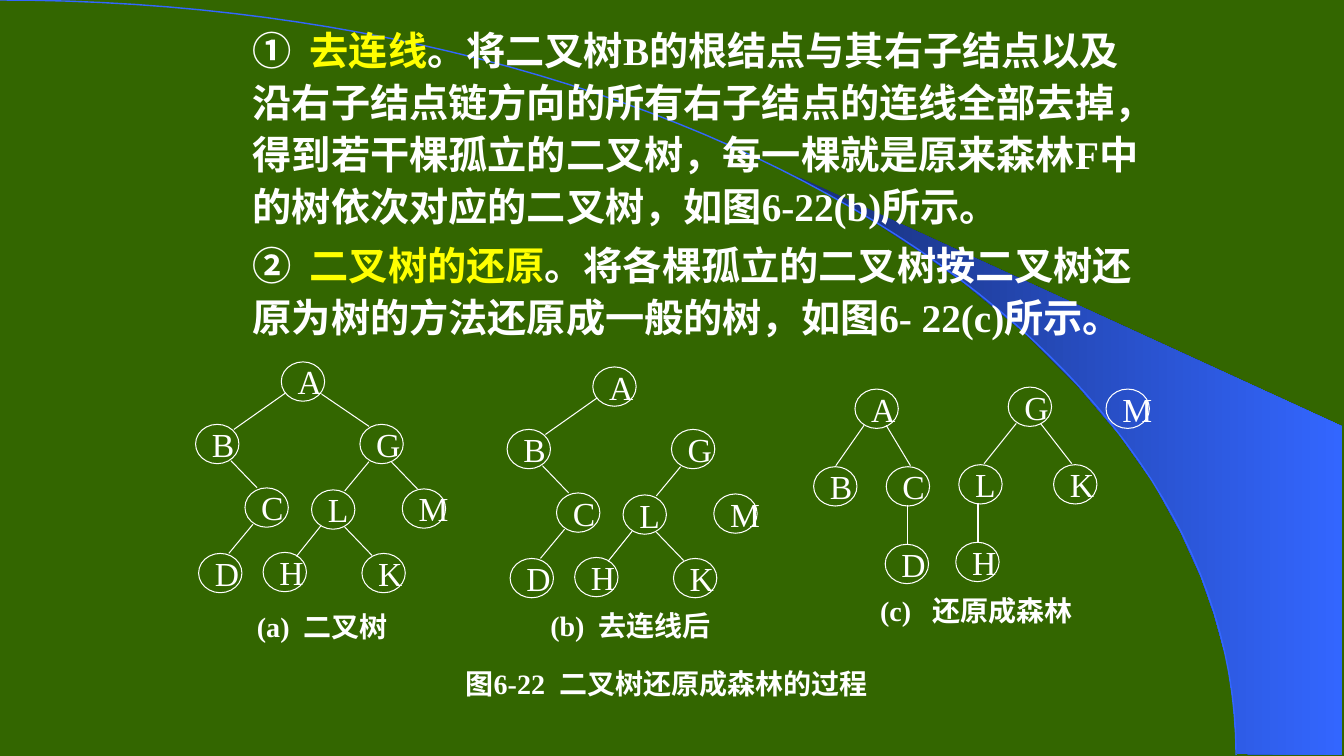
from pptx import Presentation
from pptx import util as u
from pptx.dml.color import RGBColor
from pptx.enum import shapes, text
from pptx.oxml.ns import qn
from lxml import etree

THEME = {
    "bg": "336600", "white": "FFFFFF", "yellow": "FFFF00",
    "blue": "3366FF", "navy": "182F76",
    "latin": "Times New Roman", "cjk": "Noto Sans CJK SC",
    "body": 28, "node": 24, "caption": 20, "edge": 0.75, "arc": 1,
}

STEPS = [
    [("①  ", "white", "latin"), ("去连线", "yellow", "latin"),
     ("。将二叉树B的根结点与其右子结点以及沿右子结点链方向的所有右子结点的连线全部去掉，"
      "得到若干棵孤立的二叉树，每一棵就是原来森林F中的树依次对应的二叉树，", "white", "latin"),
     ("如图", "white", "cjk"), ("6-22(b)所示", "white", "latin"), ("。", "white", "cjk")],
    [("②  ", "white", "latin"), ("二叉树的还原", "yellow", "latin"),
     ("。将各棵孤立的二叉树按二叉树还原为树的方法还原成一般的树，", "white", "latin"),
     ("如图", "white", "cjk"), ("6- 22(c)所示", "white", "latin"), ("。", "white", "cjk")],
]

CAPTIONS = [
    ("(a)  二叉树", 2.45, 6.02, 1.6),
    ("(b)  去连线后", 5.36, 6.01, 1.9),
    ("(c)   还原成森林", 8.63, 5.86, 2.2),
    ("图6-22  二叉树还原成森林的过程", 4.52, 6.58, 4.4),
]

BINARY_NODES = {
    "A": (2.79, 3.59), "B": (1.94, 4.21), "C": (2.43, 4.84), "D": (1.97, 5.49),
    "G": (3.57, 4.21), "L": (3.09, 4.86), "H": (2.61, 5.48), "K": (3.59, 5.49),
    "M": (3.99, 4.85),
}
BINARY_EDGES = {
    "AB": (2.83, 3.9, 2.32, 4.26), "BC": (2.29, 4.57, 2.55, 4.84),
    "CD": (2.51, 5.2, 2.27, 5.49), "AG": (3.19, 3.91, 3.66, 4.23),
    "GM": (3.88, 4.58, 4.14, 4.85), "GL": (3.66, 4.58, 3.42, 4.87),
    "LK": (3.42, 5.23, 3.69, 5.51), "LH": (3.18, 5.22, 2.94, 5.52),
}
FOREST_NODES = {
    "A": (8.48, 3.86), "B": (8.07, 4.63), "C": (8.79, 4.63), "D": (8.78, 5.4),
    "G": (10, 3.84), "L": (9.51, 4.61), "H": (9.48, 5.38), "K": (10.45, 4.61),
    "M": (10.97, 3.86),
}
FOREST_EDGES = {
    "AB": (8.57, 4.22, 8.29, 4.62), "AC": (8.79, 4.22, 9.03, 4.62),
    "CD": (9, 5.01, 9, 5.41), "GL": (10.08, 4.2, 9.76, 4.6),
    "GK": (10.32, 4.2, 10.63, 4.6), "LH": (9.7, 4.99, 9.7, 5.39),
}
CUT_EDGES = {"AG", "GM"}
CUT_SHIFT = (3.09, 0.05)
CUT_NODES = {n: (x + CUT_SHIFT[0], y + CUT_SHIFT[1]) for n, (x, y) in BINARY_NODES.items()}
KEPT_EDGES = {n: tuple(v + CUT_SHIFT[i % 2] for i, v in enumerate(e))
              for n, e in BINARY_EDGES.items() if n not in CUT_EDGES}
TREES = [(BINARY_NODES, BINARY_EDGES), (CUT_NODES, KEPT_EDGES), (FOREST_NODES, FOREST_EDGES)]
NODE_SIZE = (0.43, 0.39)

SWOOSH = [
    (12.27, 7.48), (13.31, 7.49), (13.31, 4.23), (7.86, 1.73), (8.32, 1.99),
    (8.7, 2.22), (9.13, 2.5), (9.55, 2.8), (10.16, 3.3), (10.7, 3.84),
    (11.1, 4.31), (11.44, 4.79), (11.71, 5.28), (11.91, 5.72), (12.04, 6.09),
    (12.17, 6.56), (12.23, 6.96),
]
ARC = [(0, 0), (6.77, 0), (12.26, 3.35), (12.26, 7.49)]
ARC_STEPS = 60


def color(name):
    return RGBColor.from_string(THEME[name])


def style(font, size, bold=False):
    font.name = THEME["latin"]
    font.size = u.Pt(THEME[size])
    font.bold = bold
    font.color.rgb = color("white")


def outline(s, points, close):
    start, *rest = [(u.Inches(x), u.Inches(y)) for x, y in points]
    builder = s.build_freeform(*start)
    builder.add_line_segments(rest, close=close)
    sp = builder.convert_to_shape()
    sp.shadow.inherit = False
    return sp


def bezier(points, t):
    weights = ((1 - t) ** 3, 3 * t * (1 - t) ** 2, 3 * t * t * (1 - t), t ** 3)
    return tuple(sum(w * p[axis] for w, p in zip(weights, points)) for axis in (0, 1))


def add_background(s):
    sp = outline(s, SWOOSH, True)
    sp.fill.gradient()
    sp.fill.gradient_angle = 0
    for stop, name, position in zip(sp.fill.gradient_stops, ("navy", "blue"), (0, 1)):
        stop.color.rgb = color(name)
        stop.position = position
    sp.line.fill.background()
    sp = outline(s, [bezier(ARC, i / ARC_STEPS) for i in range(ARC_STEPS + 1)], False)
    sp.fill.background()
    sp.line.color.rgb = color("blue")
    sp.line.width = u.Pt(THEME["arc"])


def add_steps(s):
    tf = s.add_textbox(*map(u.Inches, (1.83, 0.17, 9.67, 3.35))).text_frame
    tf.word_wrap = True
    for i, runs in enumerate(STEPS):
        p = tf.add_paragraph() if i else tf.paragraphs[0]
        p.line_spacing = 1.1
        p.space_before = u.Pt(THEME["body"] * 0.2)
        style(p.font, "body", True)
        pPr = p._p.get_or_add_pPr()
        pPr.set("marL", str(u.Inches(0.58)))
        pPr.set("indent", "0")
        for words, tint, face in runs:
            r = p.add_run()
            r.text = words
            r.font.color.rgb = color(tint)
            r.font.name = THEME[face]


def write_label(sp, words, size, bold=False):
    tf = sp.text_frame
    tf.word_wrap = False
    tf.vertical_anchor = text.MSO_ANCHOR.MIDDLE
    p = tf.paragraphs[0]
    p.text = words
    p.alignment = text.PP_ALIGN.LEFT
    style(p.font, size, bold)


def add_node(s, name, x, y):
    sp = s.add_shape(shapes.MSO_SHAPE.OVAL, *map(u.Inches, (x, y, *NODE_SIZE)))
    sp.shadow.inherit = False
    sp.fill.background()
    sp.line.color.rgb = color("white")
    sp.line.width = u.Pt(THEME["edge"])
    write_label(sp, name, "node")


def add_caption(s, words, x, y, width):
    sp = s.add_textbox(*map(u.Inches, (x, y, width, 0.39)))
    sp.text_frame.margin_right = 0
    write_label(sp, words, "caption", True)


def add_edge(s, ends):
    c = s.add_connector(shapes.MSO_CONNECTOR.STRAIGHT, *map(u.Inches, ends))
    c.line.color.rgb = color("white")
    c.line.width = u.Pt(THEME["edge"])
    etree.SubElement(c._element.spPr, qn("a:effectLst"))


prs = Presentation()
prs.slide_width, prs.slide_height = u.Inches(13.33), u.Inches(7.5)
slide = prs.slides.add_slide(prs.slide_layouts[6])
slide.background.fill.solid()
slide.background.fill.fore_color.rgb = color("bg")
s = slide.shapes

add_background(s)
add_steps(s)
for nodes, edges in TREES:
    for name, (x, y) in nodes.items():
        add_node(s, name, x, y)
    for ends in edges.values():
        add_edge(s, ends)
for caption in CAPTIONS:
    add_caption(s, *caption)

prs.save("out.pptx")
